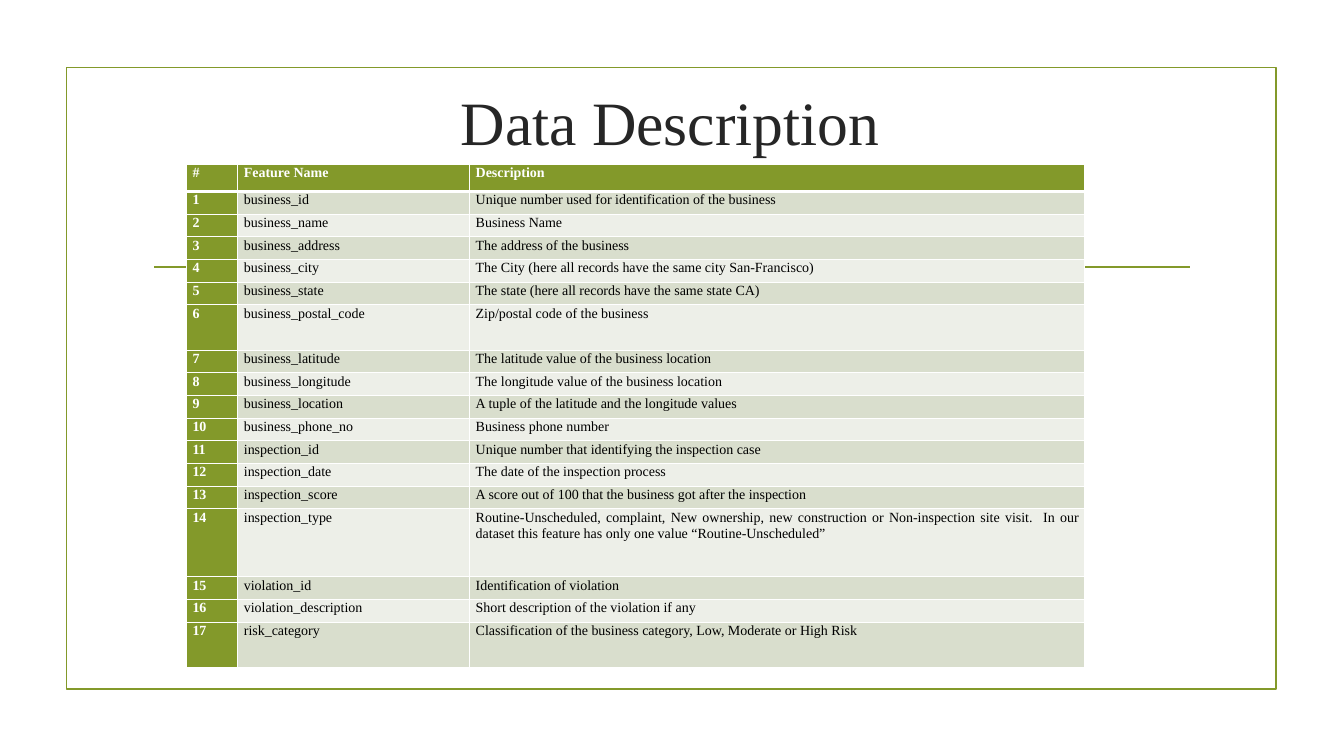
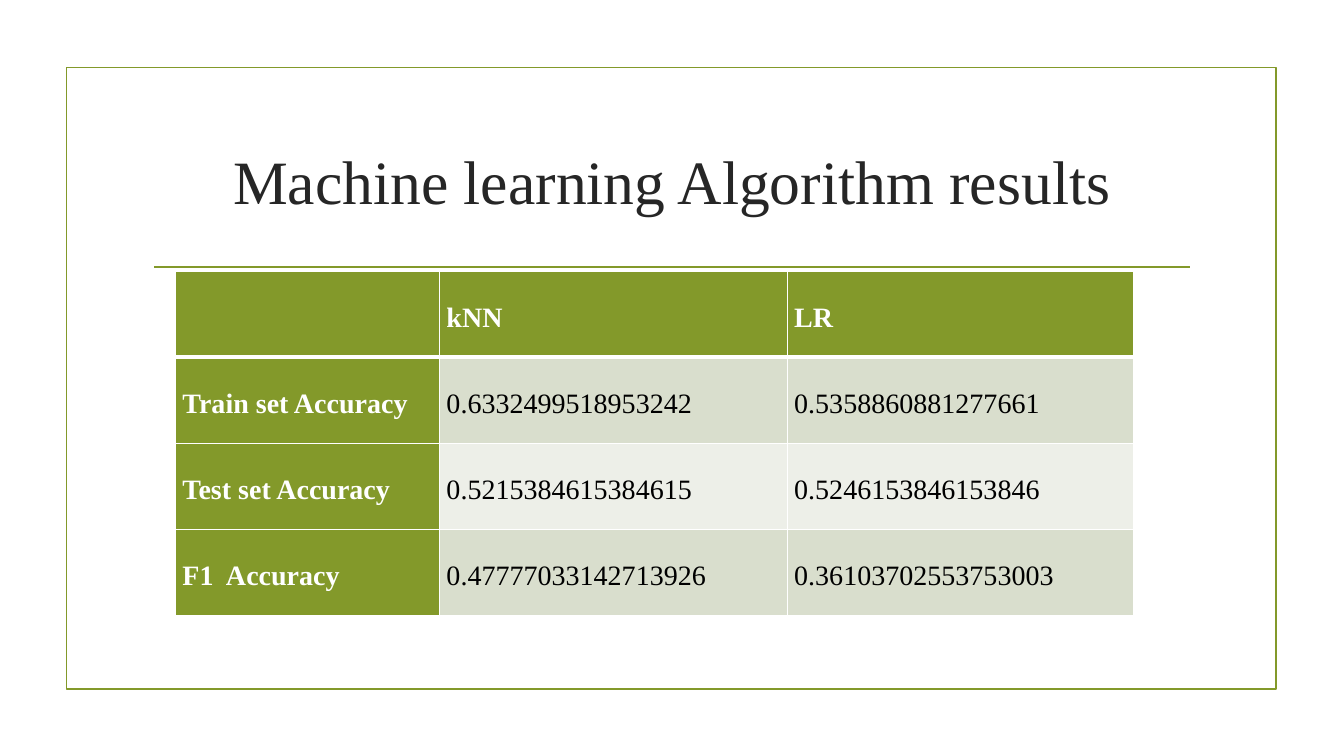
from dataclasses import dataclass

from lxml import etree
from pptx import Presentation
from pptx.dml.color import RGBColor
from pptx.enum.dml import MSO_FILL
from pptx.enum.shapes import MSO_CONNECTOR, MSO_SHAPE
from pptx.enum.text import MSO_ANCHOR, MSO_AUTO_SIZE, PP_ALIGN
from pptx.oxml.ns import qn
from pptx.util import Pt

RECTANGLE = MSO_SHAPE.RECTANGLE
STRAIGHT = MSO_CONNECTOR.STRAIGHT
MIDDLE = MSO_ANCHOR.MIDDLE
TOP = MSO_ANCHOR.TOP
NO_AUTOSIZE = MSO_AUTO_SIZE.NONE
CENTER = PP_ALIGN.CENTER
JUSTIFY = PP_ALIGN.JUSTIFY
SOLID = MSO_FILL.SOLID

GRID_COLUMNS, GRID_ROWS = 160, 90
TITLE_ONLY_LAYOUT = 5


@dataclass(frozen=True)
class Theme:
    font: str = "Times New Roman"
    accent: str = "83992A"
    paper: str = "FFFFFF"
    title: str = "262626"
    ink: str = "000000"
    bands: tuple[str, str] = ("D9DECD", "EDEFE8")
    title_size: float = 44
    outline: float = 1.25
    cell_border: float = 1
    header_border: float = 3


@dataclass(frozen=True)
class Box:
    column: float
    row: float
    columns: float
    rows: float

    def lengths(self) -> tuple[int, int, int, int]:
        return (grid(self.column), grid(self.row),
                grid(self.columns), grid(self.rows))


@dataclass(frozen=True)
class TableSpec:
    column: float
    row: float
    widths: tuple[float, ...]
    heights: tuple[float, ...]
    cells: list[tuple[str, ...]]
    size: float
    spacing: float
    inset: float


@dataclass(frozen=True)
class SlideSpec:
    title: str
    title_box: Box
    table: TableSpec


THEME = Theme()
FRAME = Box(7.92, 8.04, 144, 74)
RULE = Box(18.36, 31.8, 123.36, 0)

FEATURES = [
    ("business_id", "Unique number used for identification of the business"),
    ("business_name", "Business Name"),
    ("business_address", "The address of the business"),
    ("business_city", "The City (here all records have the same city San-Francisco)"),
    ("business_state", "The state (here all records have the same state CA)"),
    ("business_postal_code", "Zip/postal code of the business"),
    ("business_latitude", "The latitude value of the business location"),
    ("business_longitude", "The longitude value of the business location"),
    ("business_location", "A tuple of the latitude and the longitude values"),
    ("business_phone_no", "Business phone number"),
    ("inspection_id", "Unique number that identifying the inspection case"),
    ("inspection_date", "The date of the inspection process"),
    ("inspection_score", "A score out of 100 that the business got after the inspection"),
    ("inspection_type",
     "Routine-Unscheduled, complaint, New ownership, new construction or "
     "Non-inspection site visit.  In our dataset this feature has only one "
     "value “Routine-Unscheduled”"),
    ("violation_id", "Identification of violation"),
    ("violation_description", "Short description of the violation if any"),
    ("risk_category", "Classification of the business category, Low, Moderate or High Risk"),
]
FEATURE_ROW = 2.7
TALL_FEATURES = {"business_postal_code": 2, "inspection_type": 3, "risk_category": 2}

RESULTS = [
    ("", "kNN", "LR"),
    ("Train set Accuracy", "0.6332499518953242", "0.5358860881277661"),
    ("Test set Accuracy", "0.5215384615384615", "0.5246153846153846"),
    ("F1  Accuracy", "0.47777033142713926", "0.36103702553753003"),
]

SLIDES = [
    SlideSpec(
        "Data Description",
        Box(16.8, 5.76, 126, 17.16),
        TableSpec(
            column=22.2, row=19.56,
            widths=(6.12, 27.6, 73.2),
            heights=(3.24, *(FEATURE_ROW * TALL_FEATURES.get(name, 1)
                             for name, _ in FEATURES)),
            cells=[("#", "Feature Name", "Description"),
                   *((str(number), *feature)
                     for number, feature in enumerate(FEATURES, 1))],
            size=10, spacing=1.07, inset=0.72)),
    SlideSpec(
        "Machine learning Algorithm results",
        Box(17.04, 12.84, 126, 17.16),
        TableSpec(
            column=20.88, row=32.28,
            widths=(31.44, 41.4, 41.28),
            heights=(10.26,) * len(RESULTS),
            cells=RESULTS,
            size=20, spacing=2, inset=0.84)),
]


def grid(units: float) -> int:
    return Pt(6 * units)


def color(code: str) -> RGBColor:
    return RGBColor.from_string(code)


def style_runs(para, size: float, code: str, bold: bool = False) -> None:
    for run in para.runs:
        run.font.name = THEME.font
        run.font.size = Pt(size)
        run.font.bold = bold
        run.font.color.rgb = color(code)


def style_line(line) -> None:
    line.color.rgb = color(THEME.accent)
    line.width = Pt(THEME.outline)


def draw_backdrop(slide) -> None:
    frame = slide.shapes.add_shape(RECTANGLE, *FRAME.lengths())
    frame.shadow.inherit = False
    frame.fill.background()
    style_line(frame.line)
    left, top, width, height = RULE.lengths()
    rule = slide.shapes.add_connector(STRAIGHT, left, top, left + width, top + height)
    style_line(rule.line)
    etree.SubElement(rule.element.spPr, qn("a:effectLst"))


def draw_title(slide, text: str, box: Box) -> None:
    title = slide.shapes.title
    title.left, title.top, title.width, title.height = box.lengths()
    text_frame = title.text_frame
    text_frame.text = text
    text_frame.word_wrap = True
    text_frame.auto_size = NO_AUTOSIZE
    text_frame.vertical_anchor = MIDDLE
    para = text_frame.paragraphs[0]
    para.alignment = CENTER
    style_runs(para, THEME.title_size, THEME.title)


def add_border(cell, side: str, width: float) -> None:
    border = etree.SubElement(cell._tc.get_or_add_tcPr(), qn(f"a:{side}"),
                              w=str(Pt(width)))
    fill = etree.SubElement(border, qn("a:solidFill"))
    etree.SubElement(fill, qn("a:srgbClr"), val=THEME.paper)


def draw_cell(cell, text: str, row: int, column: int, spec: TableSpec) -> None:
    heading = row == 0 or column == 0
    thick_side = {0: "lnB", 1: "lnT"}.get(row)
    for side in ("lnL", "lnR", "lnT", "lnB"):
        add_border(cell, side,
                   THEME.header_border if side == thick_side else THEME.cell_border)
    cell.fill.solid()
    cell.fill.fore_color.rgb = color(
        THEME.accent if heading else THEME.bands[(row - 1) % 2])
    cell.margin_left = cell.margin_right = grid(spec.inset)
    cell.margin_top = cell.margin_bottom = 0
    cell.vertical_anchor = TOP
    if text:
        cell.text_frame.text = text
        para = cell.text_frame.paragraphs[0]
        para.alignment = JUSTIFY
        para.line_spacing = spec.spacing
        style_runs(para, spec.size, THEME.paper if heading else THEME.ink, heading)


def draw_table(slide, spec: TableSpec) -> None:
    box = Box(spec.column, spec.row, sum(spec.widths), sum(spec.heights))
    table = slide.shapes.add_table(
        len(spec.heights), len(spec.widths), *box.lengths()).table
    table.first_col = True
    for column, width in zip(table.columns, spec.widths):
        column.width = grid(width)
    for row, height in zip(table.rows, spec.heights):
        row.height = grid(height)
    for row, texts in enumerate(spec.cells):
        for column, text in enumerate(texts):
            draw_cell(table.cell(row, column), text, row, column, spec)


def main() -> None:
    deck = Presentation()
    deck.slide_width, deck.slide_height = grid(GRID_COLUMNS), grid(GRID_ROWS)
    for spec in SLIDES:
        slide = deck.slides.add_slide(deck.slide_layouts[TITLE_ONLY_LAYOUT])
        draw_backdrop(slide)
        draw_title(slide, spec.title, spec.title_box)
        draw_table(slide, spec.table)
    deck.save("out.pptx")


if __name__ == "__main__":
    main()
